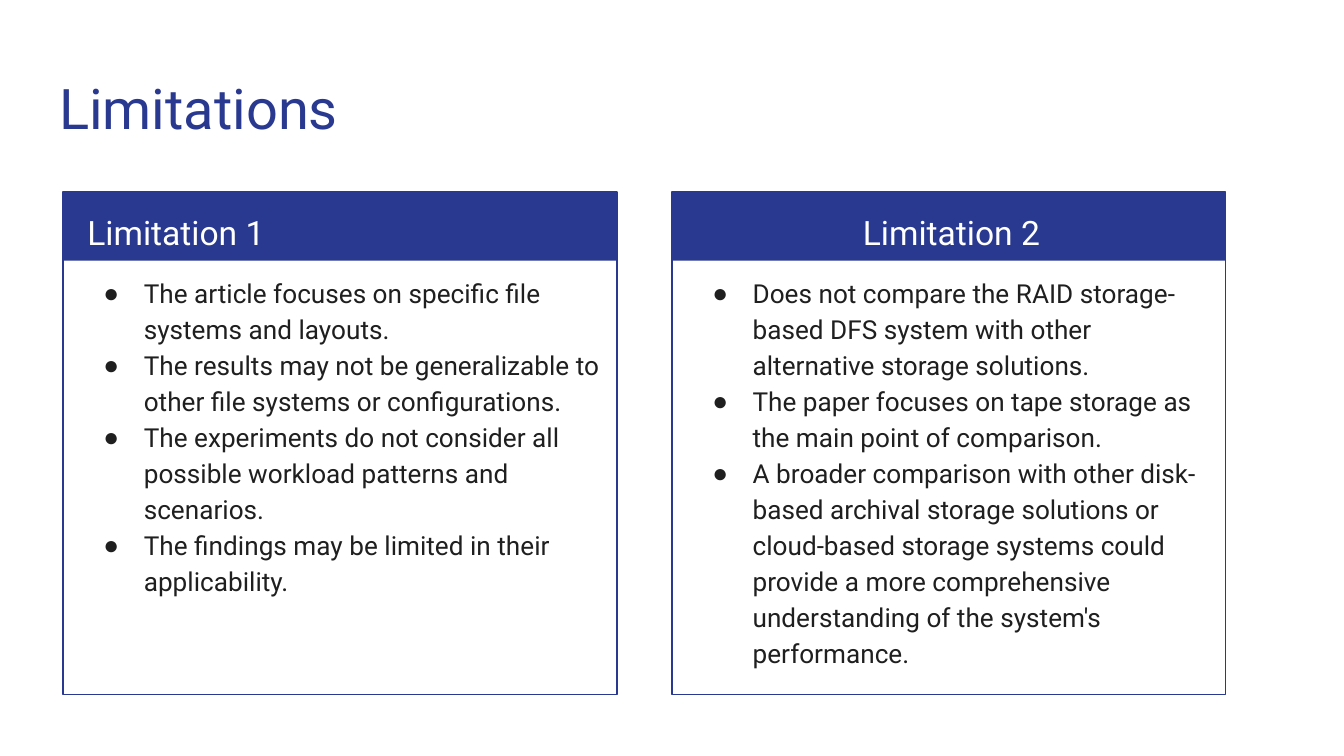
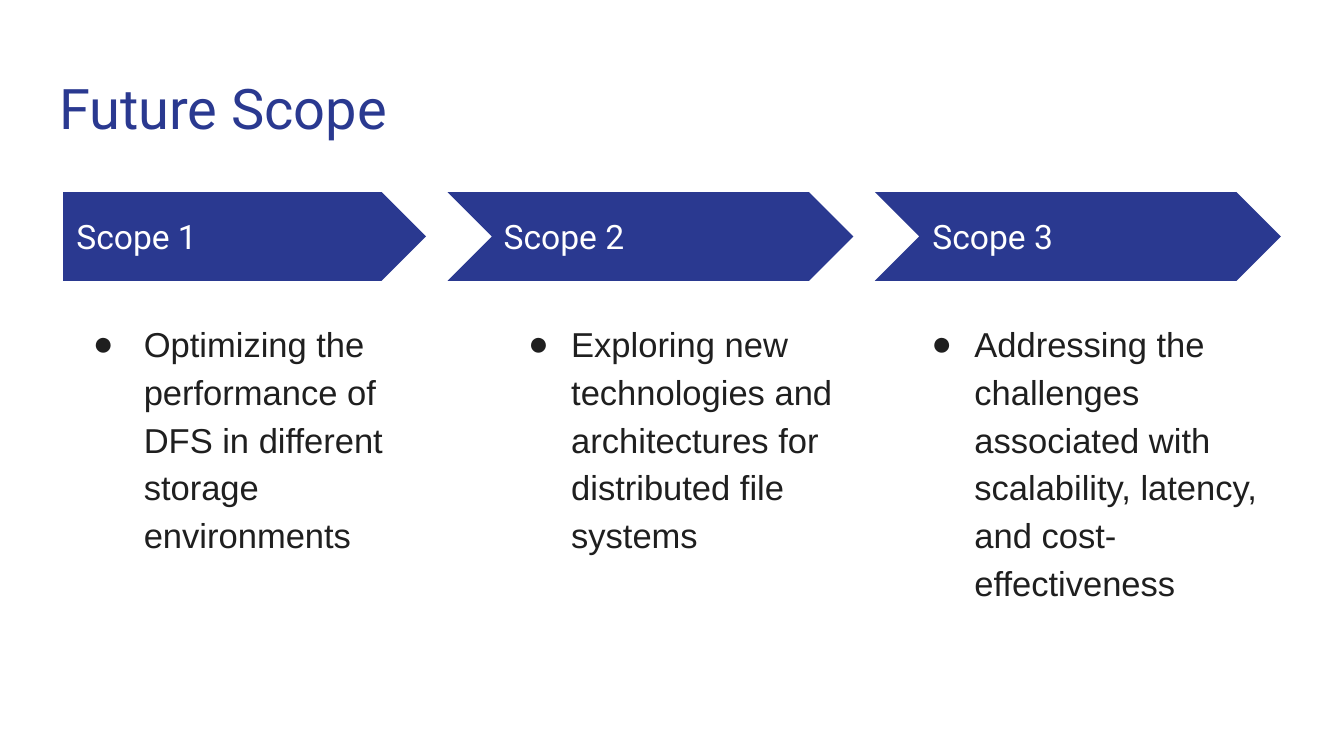
from dataclasses import dataclass

from lxml.etree import SubElement
from pptx import Presentation
from pptx.dml.color import RGBColor
from pptx.enum.shapes import MSO_SHAPE
from pptx.enum.text import MSO_ANCHOR, MSO_AUTO_SIZE, PP_ALIGN
from pptx.oxml.ns import qn
from pptx.util import Inches, Pt


@dataclass(frozen=True)
class Theme:
    blue: str = "2A3990"
    ink: str = "1F1F1F"
    white: str = "FFFFFF"
    heading_font: str = "Roboto"
    scope_font: str = "Arial"
    bullet_font: str = "Arial"
    title_size: float = 30
    label_size: float = 18
    list_size: float = 14
    scope_size: float = 18.5


theme = Theme()


def write(box, lines, at, size, color, font=theme.heading_font,
          anchor=MSO_ANCHOR.TOP, spacing=1.0, before=0, hanging=None):
    box.left, box.top, box.width, box.height = [Inches(value) for value in at]
    box.element.getparent().append(box.element)
    frame = box.text_frame
    frame.word_wrap = True
    frame.auto_size = MSO_AUTO_SIZE.NONE
    frame.vertical_anchor = anchor
    frame.margin_left = frame.margin_right = Inches(0.1)
    frame.margin_top = frame.margin_bottom = Inches(0.1)
    for index, text in enumerate(lines):
        para = frame.add_paragraph() if index else frame.paragraphs[0]
        para.alignment = PP_ALIGN.LEFT
        para.line_spacing = spacing
        para.space_before = Pt(0 if index else before)
        para.space_after = Pt(0)
        span = para.add_run()
        span.text = text
        span.font.name = font
        span.font.size = Pt(size)
        span.font.bold = False
        span.font.color.rgb = RGBColor.from_string(color)
        if hanging:
            properties = para._p.get_or_add_pPr()
            properties.set("marL", str(Inches(0.5)))
            properties.set("indent", str(-Inches(hanging)))
            bullet_color = SubElement(properties, qn("a:buClr"))
            SubElement(bullet_color, qn("a:srgbClr"), val=color)
            SubElement(properties, qn("a:buFont"), typeface=theme.bullet_font)
            SubElement(properties, qn("a:buChar"), char="●")


def draw(shapes, kind, at, fill=None, line=None):
    shape = shapes.add_shape(kind, *[Inches(value) for value in at])
    shape.shadow.inherit = False
    if fill:
        shape.fill.solid()
        shape.fill.fore_color.rgb = RGBColor.from_string(fill)
    else:
        shape.fill.background()
    if line:
        shape.line.color.rgb = RGBColor.from_string(line)
        shape.line.width = Pt(0.75)
    else:
        shape.line.fill.background()
    return shape


deck = Presentation()
deck.slide_width = Inches(10)
deck.slide_height = Inches(10 * 9 / 16)

pages = []
for title in ("Limitations", "Future Scope"):
    page = deck.slides.add_slide(deck.slide_layouts.get_by_name("Comparison"))
    write(page.shapes.title, [title], (0.34, 0.45, 9.32, 0.66),
          theme.title_size, theme.blue)
    pages.append(page)
limitations_page, scope_page = pages

top = 1.43
card_width = 4.12
limitations = [
    ("Limitation 1", 0.47, 0.55, 3.15, [
        "The article focuses on specific file systems and layouts.",
        "The results may not be generalizable to other file systems or configurations.",
        "The experiments do not consider all possible workload patterns and scenarios.",
        "The findings may be limited in their applicability.",
    ]),
    ("Limitation 2", 5, 6.32, 3.23, [
        "Does not compare the RAID storage-based DFS system with other alternative storage solutions.",
        "The paper focuses on tape storage as the main point of comparison.",
        "A broader comparison with other disk-based archival storage solutions or cloud-based "
        "storage systems could provide a more comprehensive understanding of the system's performance.",
    ]),
]
bodies = list(limitations_page.placeholders)[1:]
for (label, left, label_left, list_height, points), heading, body in zip(
        limitations, bodies[::2], bodies[1::2]):
    card = limitations_page.shapes.add_group_shape()
    draw(card.shapes, MSO_SHAPE.RECTANGLE, (left, top, card_width, 0.51), fill=theme.blue)
    draw(card.shapes, MSO_SHAPE.RECTANGLE, (left, top, card_width, 3.74), line=theme.blue)
    write(heading, [label], (label_left, top, 2.73, 0.5),
          theme.label_size, theme.white, spacing=1.15)
    write(body, points, (left, 1.93, card_width, list_height),
          theme.list_size, theme.ink, spacing=1.15, before=3, hanging=0.3)

scopes = [
    (MSO_SHAPE.PENTAGON, 0.47, 2.7, 0.47, 0.47, 2.7, 0.38,
     "Optimizing the performance of DFS in different storage environments"),
    (MSO_SHAPE.CHEVRON, 3.33, 3.02, 3.65, 3.65, 2.7, 0.32,
     "Exploring new technologies and architectures for distributed file systems"),
    (MSO_SHAPE.CHEVRON, 6.51, 3.02, 6.84, 6.65, 2.9, 0.32,
     "Addressing the challenges associated with scalability, latency, and cost-effectiveness"),
]
*bodies, spare = list(scope_page.placeholders)[1:]
spare.element.getparent().remove(spare.element)
for number, (scope, body) in enumerate(zip(scopes, bodies), 1):
    kind, left, width, label_left, list_left, list_width, hanging, text = scope
    arrow = draw(scope_page.shapes, kind, (left, top, width, 0.66), fill=theme.blue)
    arrow.adjustments[0] = 0.5
    label_at = (label_left, 1.59, 2.47, 0.34)
    label = scope_page.shapes.add_textbox(*[Inches(value) for value in label_at])
    write(label, [f"Scope {number}"], label_at, theme.label_size, theme.white,
          anchor=MSO_ANCHOR.MIDDLE)
    write(body, [text], (list_left, 2.26, list_width, 2.9), theme.scope_size, theme.ink,
          font=theme.scope_font, spacing=1.15, before=3, hanging=hanging)

deck.save("out.pptx")
